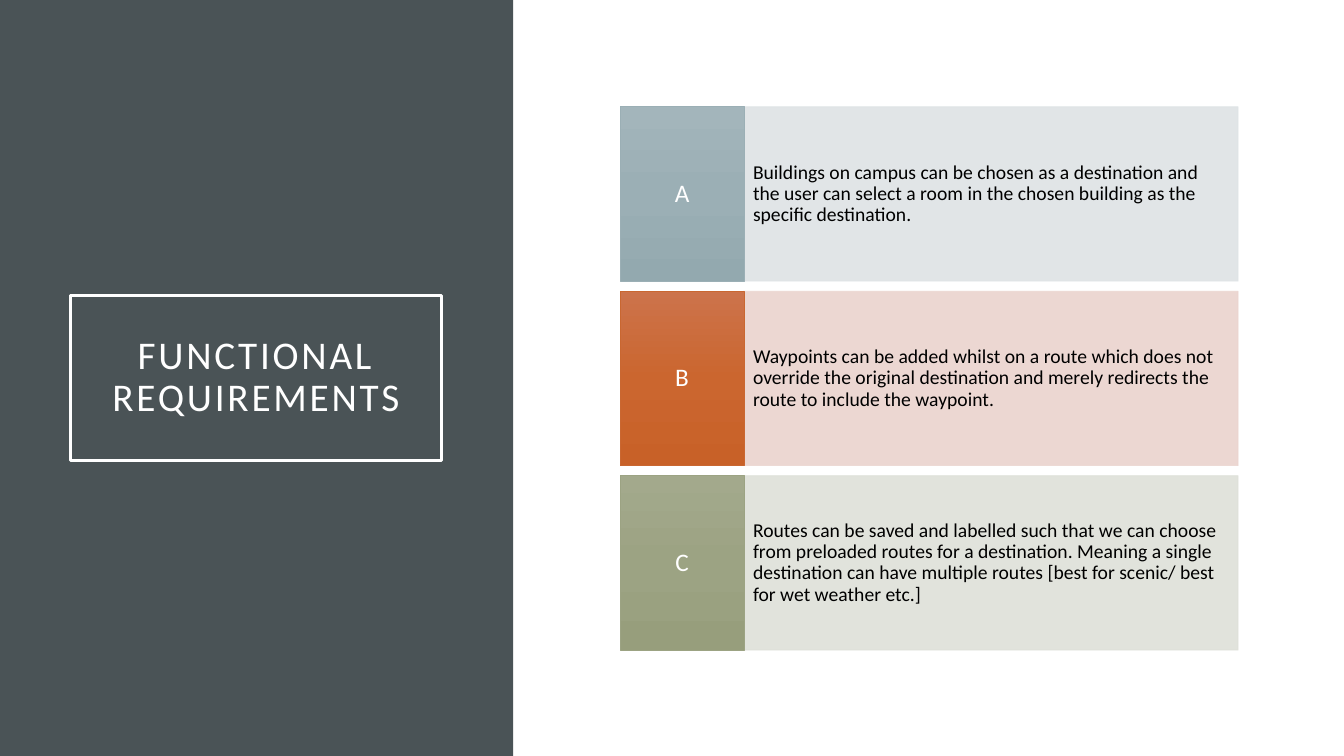
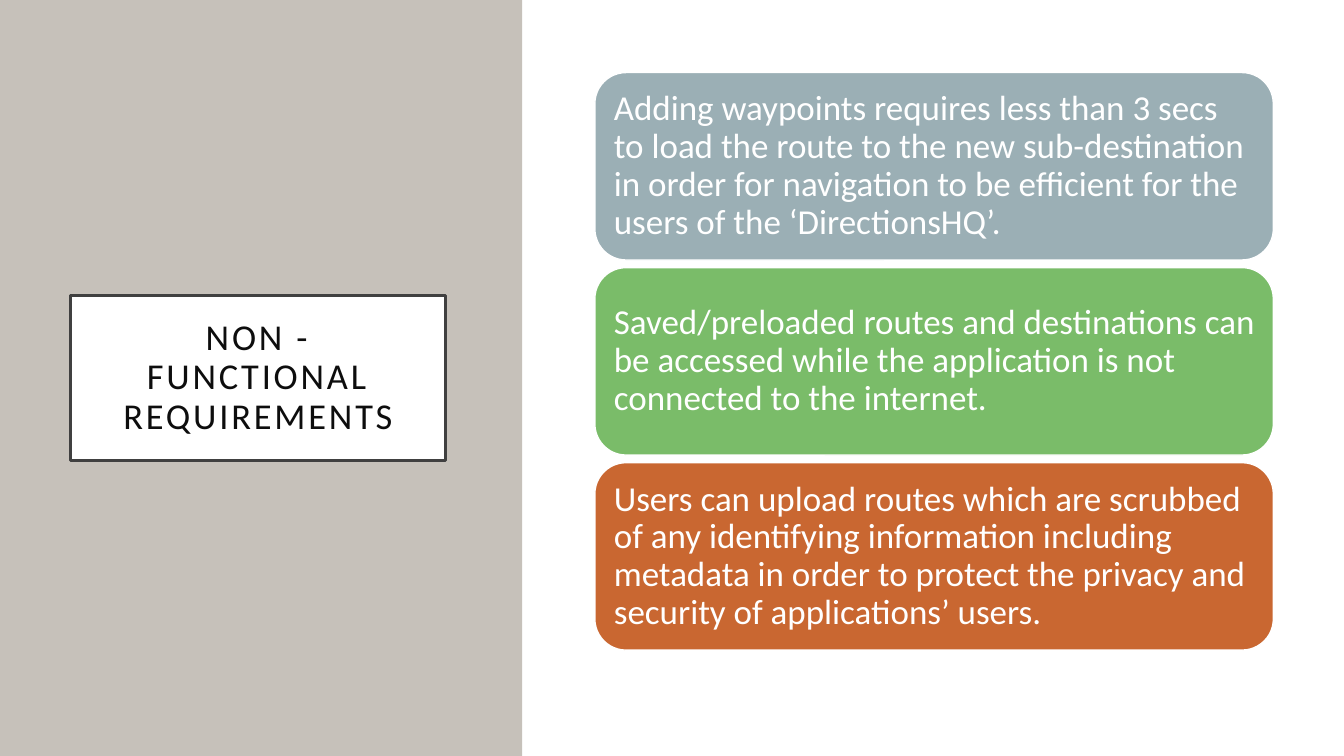
"""Build two slides listing functional and non-functional requirements."""
from copy import deepcopy

from lxml import etree
from pptx import Presentation
from pptx.dml.color import RGBColor
from pptx.enum.shapes import MSO_SHAPE
from pptx.enum.text import MSO_ANCHOR, MSO_AUTO_SIZE, PP_ALIGN
from pptx.oxml.ns import qn
from pptx.util import Inches, Pt

RECTANGLE = MSO_SHAPE.RECTANGLE
ROUNDED = MSO_SHAPE.ROUNDED_RECTANGLE
MIDDLE = MSO_ANCHOR.MIDDLE
NO_AUTOFIT = MSO_AUTO_SIZE.NONE
LEFT, CENTER = PP_ALIGN.LEFT, PP_ALIGN.CENTER

FONT = "Calibri"
WHITE = RGBColor(0xFF, 0xFF, 0xFF)
BLACK = RGBColor(0x00, 0x00, 0x00)
INK = RGBColor(0x0D, 0x0D, 0x0D)
CHARCOAL = RGBColor(0x40, 0x40, 0x40)
SLATE = RGBColor(0x4A, 0x53, 0x56)
STONE = RGBColor(0xC6, 0xC1, 0xBA)
BLUE_GREY = RGBColor(0x9B, 0xAF, 0xB5)
BLUE_GREY_TOP = RGBColor(0xA3, 0xB5, 0xBB)
BLUE_GREY_BOTTOM = RGBColor(0x93, 0xA9, 0xAF)
BLUE_GREY_TINT = RGBColor(0xDE, 0xE3, 0xE5)
ORANGE = RGBColor(0xC9, 0x67, 0x31)
ORANGE_TOP = RGBColor(0xCC, 0x73, 0x4B)
ORANGE_MIDDLE = RGBColor(0xCB, 0x66, 0x2F)
ORANGE_BOTTOM = RGBColor(0xC8, 0x61, 0x28)
ORANGE_TINT = RGBColor(0xEB, 0xD3, 0xCE)
SAGE = RGBColor(0x9C, 0xA3, 0x83)
SAGE_TOP = RGBColor(0xA3, 0xA9, 0x8C)
SAGE_BOTTOM = RGBColor(0x97, 0x9E, 0x7C)
SAGE_TINT = RGBColor(0xDE, 0xE0, 0xD9)
GREEN = RGBColor(0x7A, 0xBC, 0x69)


def write_text(shape, text, size, color, alignment, margin):
    frame = shape.text_frame
    frame.text = text
    frame.word_wrap = True
    frame.auto_size = NO_AUTOFIT
    frame.vertical_anchor = MIDDLE
    frame.margin_left = frame.margin_right = Inches(margin)
    frame.margin_top = frame.margin_bottom = Inches(margin)
    paragraph = frame.paragraphs[0]
    paragraph.alignment = alignment
    paragraph.line_spacing = 0.9
    font = paragraph.runs[0].font
    font.name, font.size, font.color.rgb = FONT, Pt(size), color


def add_block(slide, preset, left, top, width, height, fill, line, line_width):
    shape = slide.shapes.add_shape(
        preset, Inches(left), Inches(top), Inches(width), Inches(height))
    shape.shadow.inherit = False
    shape.fill.solid()
    shape.fill.fore_color.rgb = fill
    if line is None:
        shape.line.fill.background()
    else:
        shape.line.color.rgb = line
        shape.line.width = Pt(line_width)
    return shape


presentation = Presentation()
presentation.slide_width = Inches(13.33)
presentation.slide_height = Inches(7.5)
title_only = presentation.slide_layouts[5]

slide_styles = [
    ("FUNCTIONAL REQUIREMENTS", 28, WHITE, WHITE, None, 3.68, SLATE, 5.09),
    ("NON - FUNCTIONAL REQUIREMENTS", 26, INK, CHARCOAL, WHITE, 3.72, STONE, 5.18),
]
slides = []
for text, size, color, border, fill, width, panel_color, panel_width in slide_styles:
    slide = presentation.slides.add_slide(title_only)
    title = slide.shapes.title
    title.left, title.top = Inches(0.7), Inches(2.93)
    title.width, title.height = Inches(width), Inches(1.64)
    write_text(title, text, size, color, CENTER, 0.2)
    title.text_frame.paragraphs[0].runs[0]._r.get_or_add_rPr().set("spc", "200")
    title.line.color.rgb = border
    title.line.width = Pt(2.5)
    if fill is not None:
        title.fill.solid()
        title.fill.fore_color.rgb = fill
    panel = add_block(slide, RECTANGLE, 0, 0, panel_width, 7.5, panel_color, None, 0)
    title.element.addprevious(panel.element)
    slides.append(slide)

functional_slide, non_functional_slide = slides

functional_requirements = [
    ("A", "Buildings on campus can be chosen as a destination and the user can select "
     "a room in the chosen building as the specific destination.",
     BLUE_GREY_TINT, BLUE_GREY, (BLUE_GREY_TOP, BLUE_GREY, BLUE_GREY_BOTTOM)),
    ("B", "Waypoints can be added whilst on a route which does not override the "
     "original destination and merely redirects the route to include the waypoint.",
     ORANGE_TINT, ORANGE, (ORANGE_TOP, ORANGE_MIDDLE, ORANGE_BOTTOM)),
    ("C", "Routes can be saved and labelled such that we can choose from preloaded "
     "routes for a destination. Meaning a single destination can have multiple routes "
     "[best for scenic/ best for wet weather etc.]",
     SAGE_TINT, SAGE, (SAGE_TOP, SAGE, SAGE_BOTTOM)),
]
for index, (letter, text, tint, accent, gradient) in enumerate(functional_requirements):
    top = 1.06 + 1.83 * index
    card = add_block(functional_slide, RECTANGLE, 7.37, top, 4.91, 1.73, tint, tint, 0.5)
    for color_element in card.element.spPr.iter(qn("a:srgbClr")):
        etree.SubElement(color_element, qn("a:alpha")).set("val", "90000")
    write_text(card, text, 14, BLACK, LEFT, 0.1)

    label = add_block(
        functional_slide, RECTANGLE, 6.15, top, 1.23, 1.73, accent, accent, 0.5)
    label.fill.gradient()
    label.fill.gradient_angle = 270
    stop_list = next(label.element.spPr.iter(qn("a:gsLst")))
    stop_list.insert(1, deepcopy(stop_list[0]))
    for stop, color, position in zip(label.fill.gradient_stops, gradient, (0, 0.5, 1)):
        stop.color.rgb = color
        stop.position = position
    write_text(label, letter, 18, WHITE, CENTER, 0.06)

non_functional_requirements = [
    ("Adding waypoints requires less than 3 secs to load the route to the new "
     "sub-destination in order for navigation to be efficient for the users of the "
     "‘DirectionsHQ’.", BLUE_GREY),
    ("Saved/preloaded routes and destinations can be accessed while the application "
     "is not connected to the internet.", GREEN),
    ("Users can upload routes which are scrubbed of any identifying information "
     "including metadata in order to protect the privacy and security of "
     "applications’ users.", ORANGE),
]
for index, (text, color) in enumerate(non_functional_requirements):
    card = add_block(non_functional_slide, ROUNDED, 5.9, 0.72 + 1.935 * index,
                     6.73, 1.86, color, WHITE, 1)
    write_text(card, text, 25, WHITE, LEFT, 0.1)

presentation.save("out.pptx")
